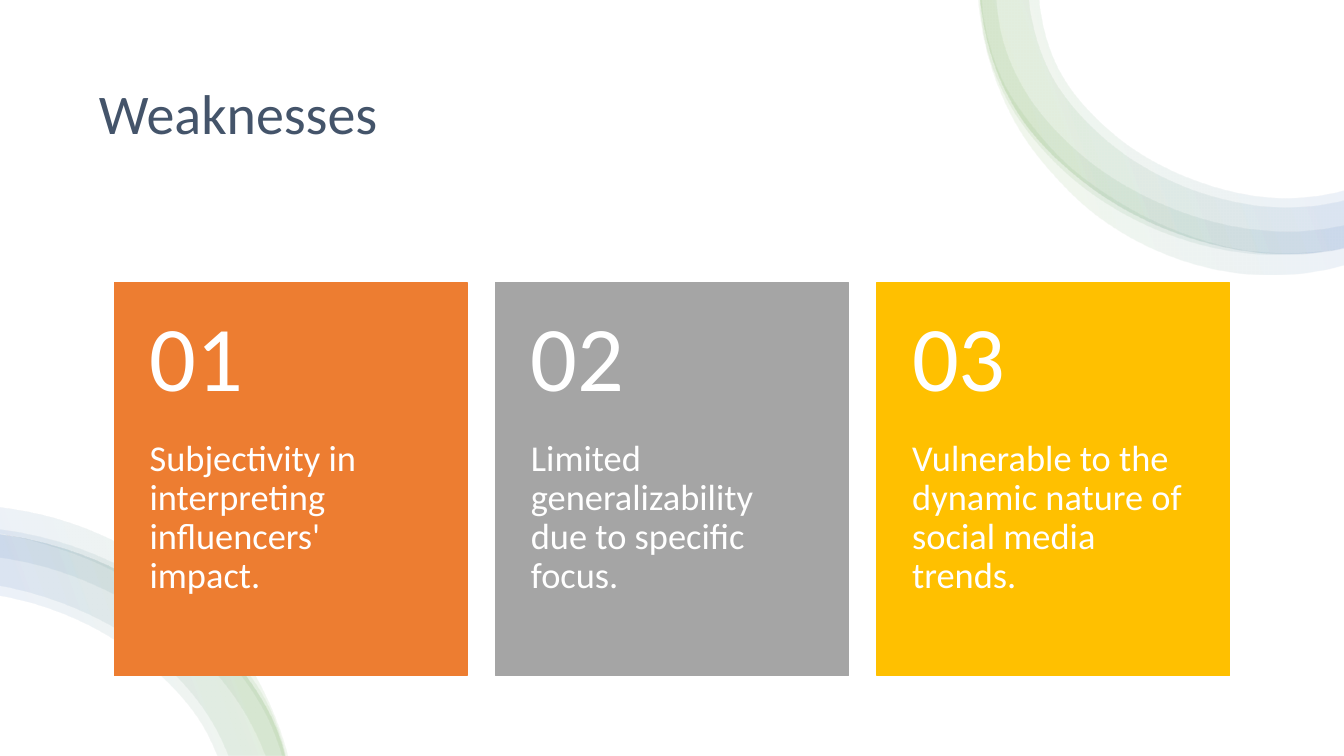
"""Build the Weaknesses slide: three numbered cards between two translucent ribbon sweeps."""
from dataclasses import dataclass

import lxml.etree
import pptx
import pptx.dml.color
import pptx.enum.shapes
import pptx.enum.text
import pptx.oxml.ns
import pptx.shapes.autoshape
import pptx.slide
import pptx.util
from pptx.util import Cm

Point = tuple[float, float]


@dataclass(frozen=True)
class Theme:
    font: str = "Calibri"
    background: str = "FFFFFF"
    title_color: str = "44546A"
    card_text: str = "FFFFFF"
    title_size: int = 40
    number_size: int = 66
    body_size: int = 26
    line_spacing: float = 0.9
    ribbon_stops: tuple = ((2, "FFFFFF"), (16, "70AD47"), (85, "4472C4"), (100, "FFFFFF"))
    ribbon_opacity: int = 10


@dataclass(frozen=True)
class Card:
    number: str
    body: str
    color: str


@dataclass(frozen=True)
class Ribbon:
    outer: list[Point]
    inner: list[Point]


@dataclass(frozen=True)
class Sweep:
    angle: float
    ribbons: list[Ribbon]


THEME = Theme()
SLIDE_WIDTH, SLIDE_HEIGHT = 33.87, 19.05
CARD_LEFT, CARD_TOP, CARD_PITCH = 2.88, 7.12, 9.61
CARD_WIDTH, CARD_HEIGHT, NUMBER_HEIGHT = 8.89, 9.91, 3.96

CARDS = [
    Card("01", "Subjectivity in interpreting influencers' impact.", "ED7D31"),
    Card("02", "Limited generalizability due to specific focus.", "A5A5A5"),
    Card("03", "Vulnerable to the dynamic nature of social media trends.", "FFC000"),
]

TOP_OUTER = [(24.71, 0), (25.63, 2.81), (27.43, 4.67), (29.82, 5.92), (32.49, 6.38), (33.87, 6.22)]
BOTTOM_OUTER = [(0, 13.46), (2.45, 14.13), (4.39, 15.24), (5.96, 16.74), (7.01, 18.54), (7.16, 19.05)]

SWEEPS = [
    Sweep(20, [
        Ribbon(TOP_OUTER, [(26.19, 0), (26.67, 1.73), (28.09, 3.4), (30.15, 4.55),
                           (32.49, 4.98), (33.87, 4.78)]),
        Ribbon(TOP_OUTER, [(25.93, 0), (26.47, 1.85), (27.94, 3.58), (30.07, 4.78),
                           (32.49, 5.21), (33.87, 5.03)]),
        Ribbon([(24.71, 0), (24.84, 1.09), (25.25, 2.26), (26.77, 4.27), (28.93, 5.69),
                (31.47, 6.38), (32.79, 6.4), (33.87, 6.25)],
               [(25.12, 0), (25.27, 0.99), (25.7, 2.06), (27.2, 3.86), (29.21, 5.11),
                (31.55, 5.77), (32.74, 5.82), (33.87, 5.66)]),
        Ribbon([(24.66, 0), (25.17, 2.21), (25.76, 3.38), (26.57, 4.42), (27.56, 5.36),
                (28.73, 6.1), (31.39, 6.88), (32.82, 6.86), (33.87, 6.65)],
               [(24.74, 0), (24.89, 0.94), (25.32, 2.13), (26.04, 3.2), (26.9, 4.14), (27.91, 4.9),
                (29.62, 5.79), (31.47, 6.3), (32.77, 6.35), (33.87, 6.22)]),
    ]),
    Sweep(200, [
        Ribbon([(0, 12.8), (2.92, 13.67), (4.22, 14.48), (5.33, 15.52), (6.22, 16.69),
                (6.88, 17.98), (7.24, 19.05)],
               [(0, 13.46), (1.27, 13.77), (2.59, 14.27), (3.84, 14.99), (4.95, 15.85),
                (5.94, 16.87), (6.71, 18.06), (7.09, 19.05)]),
        Ribbon(BOTTOM_OUTER, [(0, 15.01), (1.35, 15.37), (3.63, 16.66), (5.21, 18.49), (5.46, 19.05)]),
        Ribbon([(0, 13.36), (2.69, 14.12), (5.08, 15.7), (6.81, 17.91), (7.19, 19.05)],
               [(0, 14.07), (1.12, 14.3), (2.39, 14.76), (4.62, 16.15), (6.27, 18.16), (6.68, 19.05)]),
        Ribbon(BOTTOM_OUTER, [(0, 14.76), (1.42, 15.14), (3.81, 16.46), (5.44, 18.39), (5.74, 19.05)]),
    ]),
]


def rgb(color: str) -> pptx.dml.color.RGBColor:
    """Turn a hex string into a colour."""
    return pptx.dml.color.RGBColor.from_string(color)


def curve_controls(points: list[complex]) -> list[tuple[complex, complex]]:
    """Find the two control points of each smooth segment, weighted by chord length."""
    chords = [end - start for start, end in zip(points, points[1:])]
    lengths = [abs(chord) for chord in chords]
    slopes = [chord / length for chord, length in zip(chords, lengths)]
    tangents = [(slopes[i] * lengths[i + 1] + slopes[i + 1] * lengths[i])
                / (lengths[i] + lengths[i + 1]) for i in range(len(chords) - 1)]
    tangents = [2 * slopes[0] - tangents[0], *tangents, 2 * slopes[-1] - tangents[-1]]
    return [(points[i] + tangents[i] * length / 3, points[i + 1] - tangents[i + 1] * length / 3)
            for i, length in enumerate(lengths)]


def bend(shape: pptx.shapes.autoshape.Shape, edge_sizes: list[int]) -> None:
    """Turn the straight segments of each consecutive edge into Bezier curves."""
    qn = pptx.oxml.ns.qn
    vertices = list(shape._element.iter(qn("a:pt")))
    first = 0
    for size in edge_sizes:
        edge = vertices[first:first + size]
        controls = curve_controls([complex(int(v.get("x")), int(v.get("y"))) for v in edge])
        for vertex, pair in zip(edge[1:], controls):
            segment = vertex.getparent()
            curve = lxml.etree.Element(qn("a:cubicBezTo"))
            for control in pair:
                lxml.etree.SubElement(curve, qn("a:pt"), x=str(round(control.real)),
                                      y=str(round(control.imag)))
            segment.getparent().replace(segment, curve)
            curve.append(vertex)
        first += size


def draw_ribbon(slide: pptx.slide.Slide, ribbon: Ribbon, angle: float) -> None:
    """Draw one translucent gradient band between two curves."""
    outline = [(Cm(x), Cm(y)) for x, y in ribbon.outer + ribbon.inner[::-1]]
    builder = slide.shapes.build_freeform(*outline[0])
    builder.add_line_segments(outline[1:], close=True)
    shape = builder.convert_to_shape()
    bend(shape, [len(ribbon.outer), len(ribbon.inner)])
    shape.shadow.inherit = False
    shape.line.fill.background()
    shape.fill.gradient()
    shape.fill.gradient_angle = angle
    qn = pptx.oxml.ns.qn
    stop_list = shape._element.spPr.find(".//" + qn("a:gsLst"))
    for stop in list(stop_list):
        stop_list.remove(stop)
    for position, color in THEME.ribbon_stops:
        stop = lxml.etree.SubElement(stop_list, qn("a:gs"), pos=str(position * 1000))
        color_element = lxml.etree.SubElement(stop, qn("a:srgbClr"), val=color)
        lxml.etree.SubElement(color_element, qn("a:alpha"), val=str(THEME.ribbon_opacity * 1000))


def set_text(shape, text: str, size: int, color: str,
             anchor: pptx.enum.text.MSO_ANCHOR) -> None:
    """Fill a shape with one left-aligned, formatted paragraph."""
    frame = shape.text_frame
    frame.text = text
    frame.word_wrap = True
    frame.auto_size = pptx.enum.text.MSO_AUTO_SIZE.NONE
    frame.vertical_anchor = anchor
    paragraph = frame.paragraphs[0]
    paragraph.alignment = pptx.enum.text.PP_ALIGN.LEFT
    paragraph.line_spacing = THEME.line_spacing
    font = paragraph.runs[0].font
    font.name, font.size = THEME.font, pptx.util.Pt(size)
    font.color.rgb = rgb(color)


def draw_card_text(slide: pptx.slide.Slide, text: str, left: float, top: float, height: float,
                   size: int, anchor: pptx.enum.text.MSO_ANCHOR,
                   margin_top: float, margin_bottom: float) -> None:
    """Add a text box spanning the width of a card."""
    box = slide.shapes.add_textbox(Cm(left), Cm(top), Cm(CARD_WIDTH), Cm(height))
    set_text(box, text, size, THEME.card_text, anchor)
    frame = box.text_frame
    frame.margin_left = frame.margin_right = Cm(0.89)
    frame.margin_top, frame.margin_bottom = Cm(margin_top), Cm(margin_bottom)


def draw_rectangle(slide: pptx.slide.Slide, left: float, top: float, width: float, height: float,
                   color: str) -> pptx.shapes.autoshape.Shape:
    """Draw a flat, filled rectangle without an outline."""
    shape = slide.shapes.add_shape(pptx.enum.shapes.MSO_SHAPE.RECTANGLE,
                                   Cm(left), Cm(top), Cm(width), Cm(height))
    shape.shadow.inherit = False
    shape.fill.solid()
    shape.fill.fore_color.rgb = rgb(color)
    shape.line.fill.background()
    return shape


def draw_card(slide: pptx.slide.Slide, card: Card, left: float) -> None:
    """Draw a coloured card with its number and statement."""
    shape = draw_rectangle(slide, left, CARD_TOP, CARD_WIDTH, CARD_HEIGHT, card.color)
    shape.line.color.rgb = rgb(card.color)
    shape.line.width = pptx.util.Pt(1)
    anchors = pptx.enum.text.MSO_ANCHOR
    draw_card_text(slide, card.body, left, CARD_TOP + NUMBER_HEIGHT, CARD_HEIGHT - NUMBER_HEIGHT,
                   THEME.body_size, anchors.TOP, 0, 0.91)
    draw_card_text(slide, card.number, left, CARD_TOP, NUMBER_HEIGHT,
                   THEME.number_size, anchors.MIDDLE, 0.46, 0.46)


def main() -> None:
    """Build and save the presentation."""
    presentation = pptx.Presentation()
    presentation.slide_width, presentation.slide_height = Cm(SLIDE_WIDTH), Cm(SLIDE_HEIGHT)
    slide = presentation.slides.add_slide(presentation.slide_layouts.get_by_name("Title Only"))
    title = slide.shapes.title
    title.left, title.top, title.width, title.height = Cm(2.24), Cm(1.27), Cm(29.39), Cm(3.3)
    set_text(title, "Weaknesses", THEME.title_size, THEME.title_color, pptx.enum.text.MSO_ANCHOR.MIDDLE)
    backdrop = draw_rectangle(slide, 0, 0, SLIDE_WIDTH, SLIDE_HEIGHT, THEME.background)
    title._element.addprevious(backdrop._element)
    for sweep in SWEEPS:
        for ribbon in sweep.ribbons:
            draw_ribbon(slide, ribbon, sweep.angle)
    for index, card in enumerate(CARDS):
        draw_card(slide, card, CARD_LEFT + index * CARD_PITCH)
    presentation.save("out.pptx")


if __name__ == "__main__":
    main()
